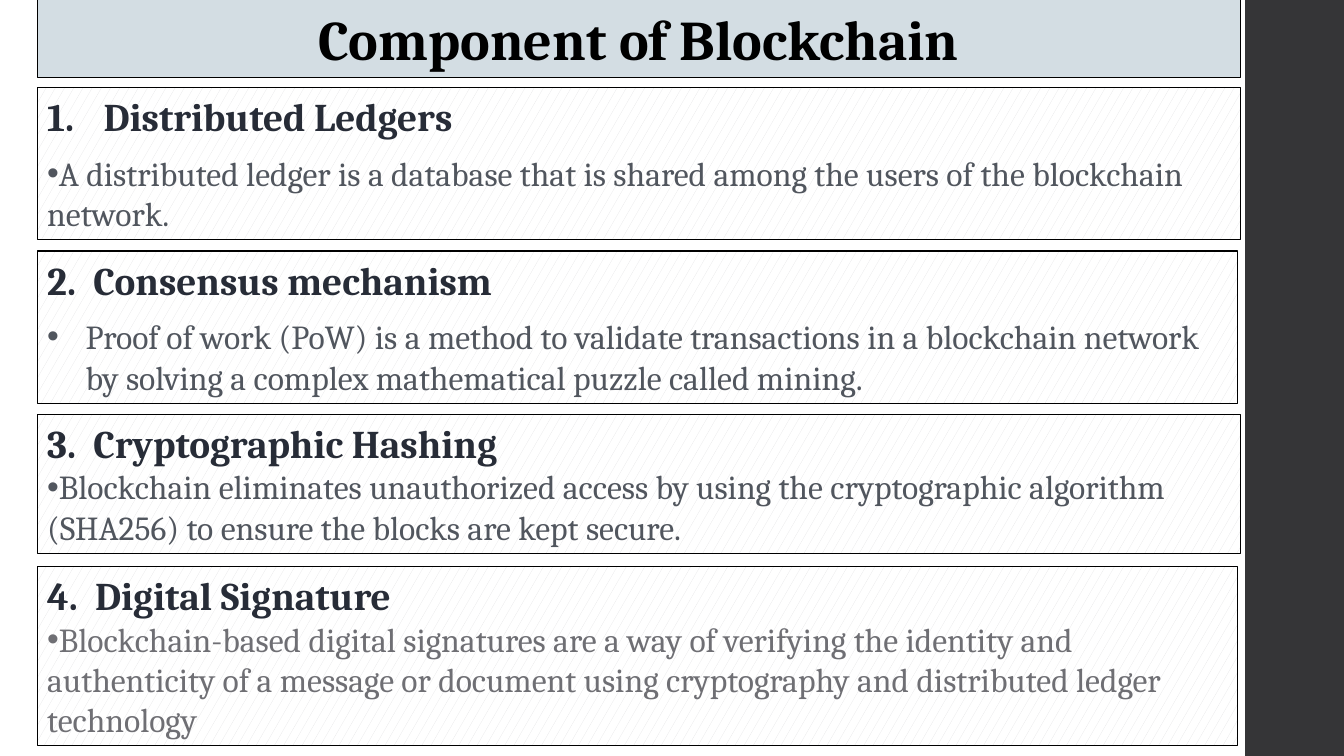
from lxml import etree
from pptx import Presentation
from pptx import util as u
from pptx.dml.color import RGBColor
from pptx.enum import dml, shapes, text
from pptx.oxml import ns

FONT = "Cambria"
LEFT = 0.37
COLORS = {
    "side": "353537",
    "band": "D3DDE3",
    "black": "000000",
    "white": "FFFFFF",
    "hatch": "E2E2E3",
    "head": "272C37",
    "body": "51565E",
    "pale": "6F6F74",
}
CARDS = [
    (0.87, 11.93, 1.51, "Distributed Ledgers",
     "A distributed ledger is a database that is shared among the users of the "
     "blockchain network.", "body", 9.4, 0, 0.56),
    (2.49, 11.9, 1.51, "2.  Consensus mechanism",
     "Proof of work (PoW) is a method to validate transactions in a blockchain "
     "network by solving a complex mathematical puzzle called mining.",
     "body", 9.4, 0.38, 0),
    (4.11, 11.93, 1.38, "3.  Cryptographic Hashing",
     "Blockchain eliminates unauthorized access by using the cryptographic "
     "algorithm (SHA256) to ensure the blocks are kept secure.", "body", 0, 0, 0),
    (5.62, 11.9, 1.78, "4.  Digital Signature",
     "Blockchain-based digital signatures are a way of verifying the identity and "
     "authenticity of a message or document using cryptography and distributed "
     "ledger technology", "pale", 0, 0, 0),
]


def color(name):
    return RGBColor.from_string(COLORS[name])


def add_box(slide, left, top, width, height, fill=None, line=True):
    box = slide.shapes.add_shape(
        shapes.MSO_SHAPE.RECTANGLE,
        *[u.Inches(n) for n in (left, top, width, height)])
    box.shadow.inherit = False
    if fill:
        box.fill.solid()
        box.fill.fore_color.rgb = color(fill)
    else:
        box.fill.patterned()
        box.fill.pattern = dml.MSO_PATTERN.SMALL_CONFETTI
        box.fill.fore_color.rgb = color("hatch")
        box.fill.back_color.rgb = color("white")
    if line:
        box.line.color.rgb = color("black")
        box.line.width = u.Pt(0.75)
    else:
        box.line.fill.background()
    return box


def set_frame(box):
    frame = box.text_frame
    frame.word_wrap = True
    frame.auto_size = text.MSO_AUTO_SIZE.SHAPE_TO_FIT_TEXT
    frame.vertical_anchor = text.MSO_ANCHOR.TOP
    return frame


def set_para(para, words, size, tint, bold=False, align=text.PP_ALIGN.LEFT):
    para.text = words
    para.alignment = align
    font = para.runs[0].font
    font.name = FONT
    font.size = u.Pt(size)
    font.bold = bold
    font.color.rgb = color(tint)


def add_mark(para, tag, indent, **attrs):
    props = para._p.get_or_add_pPr()
    props.set("marL", str(u.Inches(indent)))
    props.set("indent", str(-u.Inches(indent)))
    if tag == "a:buChar":
        etree.SubElement(props, ns.qn("a:buFont"), typeface="Arial")
    etree.SubElement(props, ns.qn(tag), **attrs)


def add_card(slide, top, width, height, head, body, tint, gap, indent, number):
    frame = set_frame(add_box(slide, LEFT, top, width, height))
    title = frame.paragraphs[0]
    set_para(title, head, 28, "head", bold=True)
    if number:
        add_mark(title, "a:buAutoNum", number, type="arabicPeriod")
    para = frame.add_paragraph()
    set_para(para, body, 24, tint)
    para.space_before = u.Pt(gap)
    add_mark(para, "a:buChar", indent, char="•")


def main():
    deck = Presentation()
    deck.slide_width = u.Inches(13.33)
    deck.slide_height = u.Inches(7.5)
    slide = deck.slides.add_slide(deck.slide_layouts[6])
    add_box(slide, 12.35, 0, 1, 7.5, "side", line=False)
    band = set_frame(add_box(slide, LEFT, 0, 11.93, 0.77, "band"))
    set_para(band.paragraphs[0], "Component of Blockchain", 40, "black",
             bold=True, align=text.PP_ALIGN.CENTER)
    for card in CARDS:
        add_card(slide, *card)
    deck.save("out.pptx")


if __name__ == "__main__":
    main()
